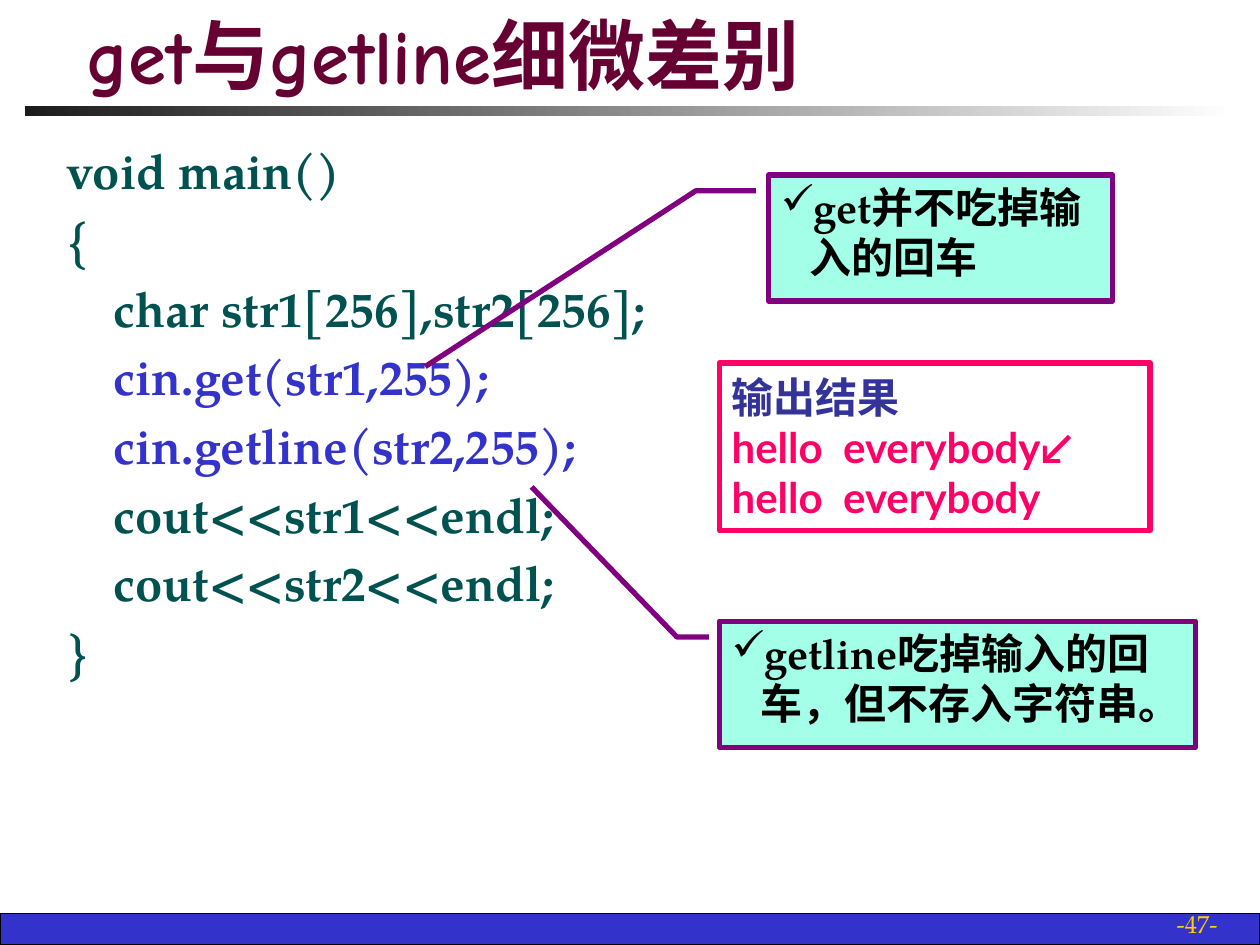
"""Build a slide on the difference between get and getline."""
from dataclasses import dataclass

from lxml import etree
from pptx import Presentation
from pptx.dml.color import RGBColor
from pptx.enum.shapes import MSO_SHAPE
from pptx.enum.text import MSO_ANCHOR, PP_ALIGN
from pptx.oxml.ns import qn
from pptx.util import Pt

RECT, CALLOUT = MSO_SHAPE.RECTANGLE, MSO_SHAPE.LINE_CALLOUT_2
TOP, MIDDLE, BOTTOM = MSO_ANCHOR.TOP, MSO_ANCHOR.MIDDLE, MSO_ANCHOR.BOTTOM
LEFT, RIGHT = PP_ALIGN.LEFT, PP_ALIGN.RIGHT
SERIF, SANS, COMIC = "TeX Gyre Pagella", "Lato", "Comic Neue"
BLUE, TEAL, PINK, PURPLE = "3333CC", "005250", "FF0066", "800080"
MINT, BLACK, NAVY = "A3FFE7", "000000", "333399"


@dataclass
class Line:
    text: str
    color: str
    indent: float = 0
    bullet: str = ""


@dataclass
class Callout:
    box: tuple[float, float, float, float]
    leader: tuple[float, ...]
    lines: list[Line]


CODE = [
    Line("void main()", TEAL),
    Line("{", TEAL),
    Line("char str1[256],str2[256];", TEAL, 27),
    Line("cin.get(str1,255);", BLUE, 27),
    Line("cin.getline(str2,255);", BLUE, 27),
    Line("cout<<str1<<endl;", TEAL, 27),
    Line("cout<<str2<<endl;", TEAL, 27),
    Line("}", TEAL),
]
OUTPUT = [
    Line("输出结果", NAVY),
    Line("hello  everybody↙", PINK),
    Line("hello  everybody", PINK),
]
CALLOUTS = [
    Callout((439.2, 100, 196.6, 72), (0.125, -0.037, 0.125, -0.211, 1.521, -0.998),
            [Line("get并不吃掉输", BLACK, bullet="✓"), Line("入的回车", BLACK, 16.5)]),
    Callout((411, 355, 272.2, 72), (0.125, -0.022, 0.125, -0.089, -1.066, -0.394),
            [Line("getline吃掉输入的回", BLACK, bullet="✓"),
             Line("车，但不存入字符串。", BLACK, 16.5)]),
]


def rgb(color: str) -> RGBColor:
    return RGBColor.from_string(color)


def add_box(s, kind, box, fill: str = "", line: str = "", width: float = 3):
    sp = s.shapes.add_shape(kind, *map(Pt, box))
    sp.shadow.inherit = False
    if fill:
        sp.fill.solid()
        sp.fill.fore_color.rgb = rgb(fill)
    else:
        sp.fill.background()
    if line:
        sp.line.color.rgb = rgb(line)
        sp.line.width = Pt(width)
    else:
        sp.line.fill.background()
    return sp


def write(sp, lines: list[Line], font: str, size: float, anchor=TOP, align=LEFT,
          bold: bool = True, before: float = 0) -> None:
    tf = sp.text_frame
    tf.word_wrap = True
    tf.vertical_anchor = anchor
    tf.text = "\n".join(line.text for line in lines)
    for p, line in zip(tf.paragraphs, lines):
        p.alignment = align
        p.space_before = Pt(before)
        pPr = p._p.get_or_add_pPr()
        pPr.set("marL", str(Pt(line.indent)))
        pPr.set("indent", "0")
        if line.bullet:
            etree.SubElement(pPr, qn("a:buChar")).set("char", line.bullet)
        for r in p.runs:
            r.font.name, r.font.size, r.font.bold = font, Pt(size), bold
            r.font.color.rgb = rgb(line.color)


def add_text(s, box, lines: list[Line], font: str, size: float, **style) -> None:
    write(s.shapes.add_textbox(*map(Pt, box)), lines, font, size, **style)


def add_callout(s, callout: Callout) -> None:
    sp = add_box(s, CALLOUT, callout.box, MINT, PURPLE)
    for i, value in enumerate(callout.leader):
        sp.adjustments[i] = value
    write(sp, callout.lines, SERIF, 24)


def add_rule(s) -> None:
    sp = add_box(s, RECT, (14.4, 60.5, 692, 5.8))
    sp.fill.gradient()
    sp.fill.gradient_angle = 0
    for stop, color, position in zip(sp.fill.gradient_stops, ("1C1C1C", "FFFFFF"), (0, 1)):
        stop.color.rgb = rgb(color)
        stop.position = position


def main() -> None:
    prs = Presentation()
    prs.slide_width, prs.slide_height = Pt(720), Pt(540)
    s = prs.slides.add_slide(prs.slide_layouts[6])
    add_box(s, RECT, (0, 522, 720, 18), BLUE, BLACK, 0.75)
    add_rule(s)
    add_text(s, (553, 516.2, 149.8, 23.8), [Line("-47-", "FFCF01")], SERIF, 14,
             anchor=BOTTOM, align=RIGHT, bold=False)
    add_text(s, (42.5, 9.4, 627.8, 51.1), [Line("get与getline细微差别", "660033")],
             COMIC, 44, anchor=BOTTOM)
    add_text(s, (31, 77, 658, 408.2), CODE, SERIF, 28, before=5.6)
    write(add_box(s, RECT, (411, 207.4, 246.2, 95.8), line=PINK), OUTPUT, SANS, 24,
          anchor=MIDDLE)
    for callout in CALLOUTS:
        add_callout(s, callout)
    prs.save("out.pptx")


main()
